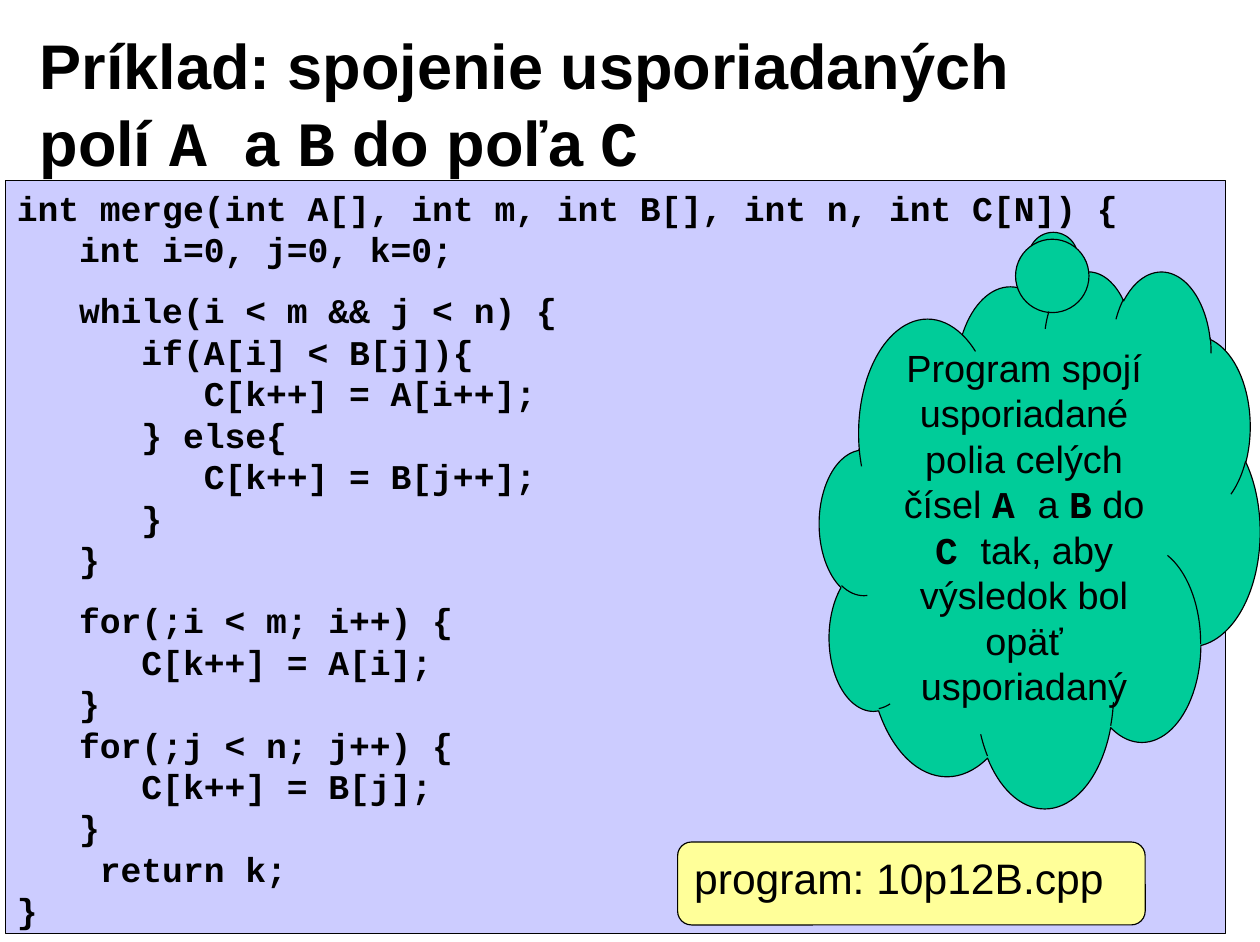
from pptx import Presentation
from pptx.dml.color import RGBColor
from pptx.enum import shapes, text
from pptx.util import Pt

BLACK = RGBColor(0x00, 0x00, 0x00)
LAVENDER = RGBColor(0xCC, 0xCC, 0xFF)
GREEN = RGBColor(0x00, 0xCC, 0x99)
YELLOW = RGBColor(0xFF, 0xFF, 0x99)
SANS = "Arial"
MONO = "Courier New"

CODE_BLOCKS = [
    """int merge(int A[], int m, int B[], int n, int C[N]) {
   int i=0, j=0, k=0;""",
    """   while(i < m && j < n) {
      if(A[i] < B[j]){
         C[k++] = A[i++];
      } else{
         C[k++] = B[j++];
      }
   }""",
    """   for(;i < m; i++) {
      C[k++] = A[i];
   }
   for(;j < n; j++) {
      C[k++] = B[j];
   }
    return k;
}""",
]
TITLE = [("Príklad: spojenie usporiadaných polí ", SANS), ("A ", MONO), ("a ", SANS),
         ("B", MONO), (" do poľa ", SANS), ("C", MONO)]
NOTE = [("Program spojí usporiadané polia celých čísel ", SANS), ("A ", MONO),
        ("a ", SANS), ("B", MONO), (" do ", SANS), ("C ", MONO),
        ("tak, aby výsledok bol opäť usporiadaný", SANS)]


def add_box(s, kind, box, fill):
    sp = s.shapes.add_shape(kind, *map(Pt, box))
    sp.shadow.inherit = False
    sp.fill.solid()
    sp.fill.fore_color.rgb = fill
    sp.line.color.rgb = BLACK
    sp.line.width = Pt(0.75)
    sp.text_frame.word_wrap = True
    return sp


def add_text(s, box):
    tf = s.shapes.add_textbox(*map(Pt, box)).text_frame
    tf.word_wrap = True
    return tf


def add_run(p, words, size, font, bold):
    r = p.add_run()
    r.text = words
    r.font.size = Pt(size)
    r.font.name = font
    r.font.bold = bold
    r.font.color.rgb = BLACK


def add_mixed(p, parts, size, spacing, all_bold):
    p.line_spacing = Pt(spacing)
    for words, font in parts:
        add_run(p, words, size, font, all_bold or font == MONO)


def add_code(s, box):
    tf = add_text(s, box)
    p = tf.paragraphs[0]
    for b, block in enumerate(CODE_BLOCKS):
        for i, line in enumerate(block.split("\n")):
            if b or i:
                p = tf.add_paragraph()
            p.line_spacing = Pt(26.3)
            if b and i == 0:
                p.space_before = Pt(12.4)
            add_run(p, line, 22, MONO, True)


def add_title(s, box):
    add_mixed(add_text(s, box).paragraphs[0], TITLE, 40, 48.9, True)


def add_cloud(s, box):
    sp = add_box(s, shapes.MSO_SHAPE.CLOUD_CALLOUT, box, GREEN)
    sp.adjustments[0] = 0.03
    sp.adjustments[1] = -0.515
    tf = sp.text_frame
    tf.vertical_anchor = text.MSO_ANCHOR.MIDDLE
    p = tf.paragraphs[0]
    p.alignment = text.PP_ALIGN.CENTER
    add_mixed(p, NOTE, 24, 28.85, False)


def add_file_label(s, box):
    sp = add_box(s, shapes.MSO_SHAPE.ROUNDED_RECTANGLE, box, YELLOW)
    tf = sp.text_frame
    tf.margin_left = tf.margin_right = Pt(8)
    tf.margin_top = tf.margin_bottom = Pt(4)
    tf.vertical_anchor = text.MSO_ANCHOR.TOP
    p = tf.paragraphs[0]
    p.alignment = text.PP_ALIGN.LEFT
    add_run(p, "program: 10p12B.cpp", 27, SANS, False)


def main():
    prs = Presentation()
    prs.slide_width = Pt(799.2)
    prs.slide_height = Pt(597.6)
    s = prs.slides.add_slide(prs.slide_layouts[6])
    add_box(s, shapes.MSO_SHAPE.RECTANGLE, (3.6, 114.5, 774, 478), LAVENDER)
    add_code(s, (3.6, 115, 723.6, 480))
    add_title(s, (18, 12.2, 642.2, 73.4))
    add_cloud(s, (519.8, 171.4, 279.4, 340.6))
    add_file_label(s, (429.8, 534.2, 296.6, 52.6))
    prs.save("out.pptx")


if __name__ == "__main__":
    main()
